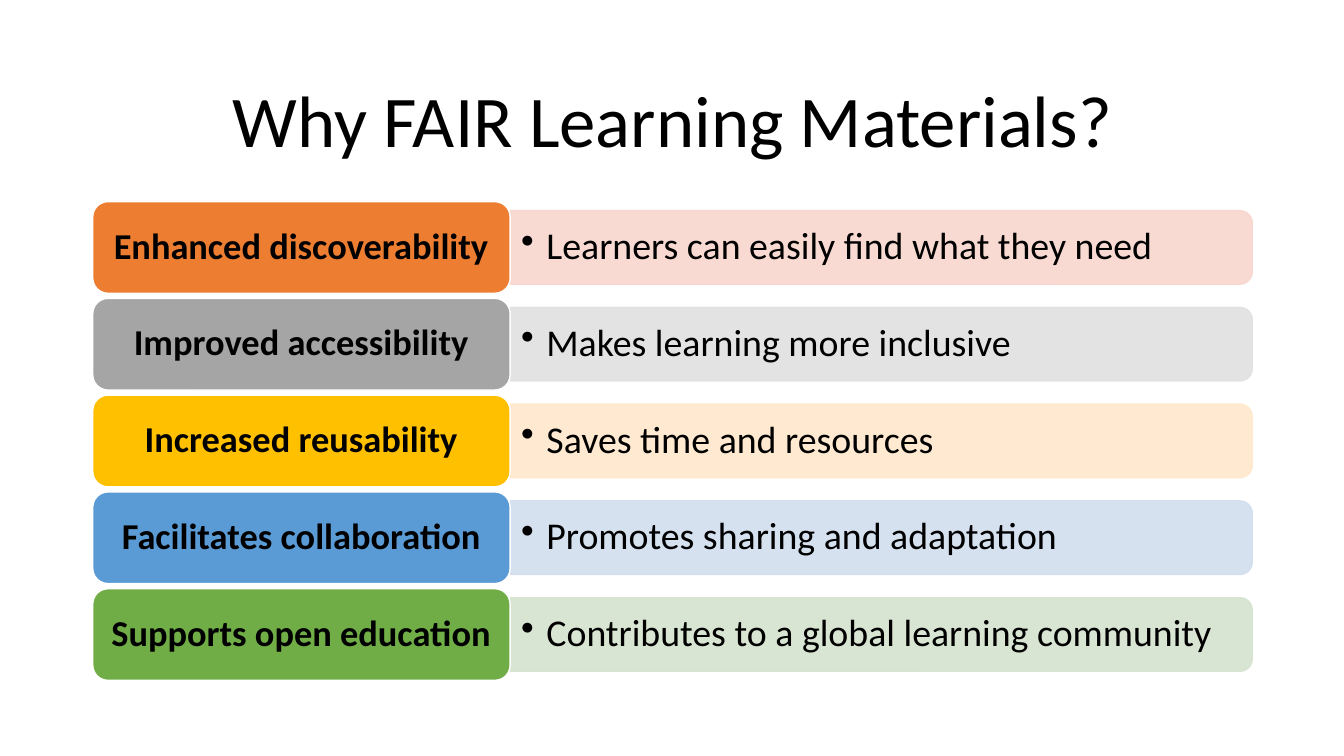
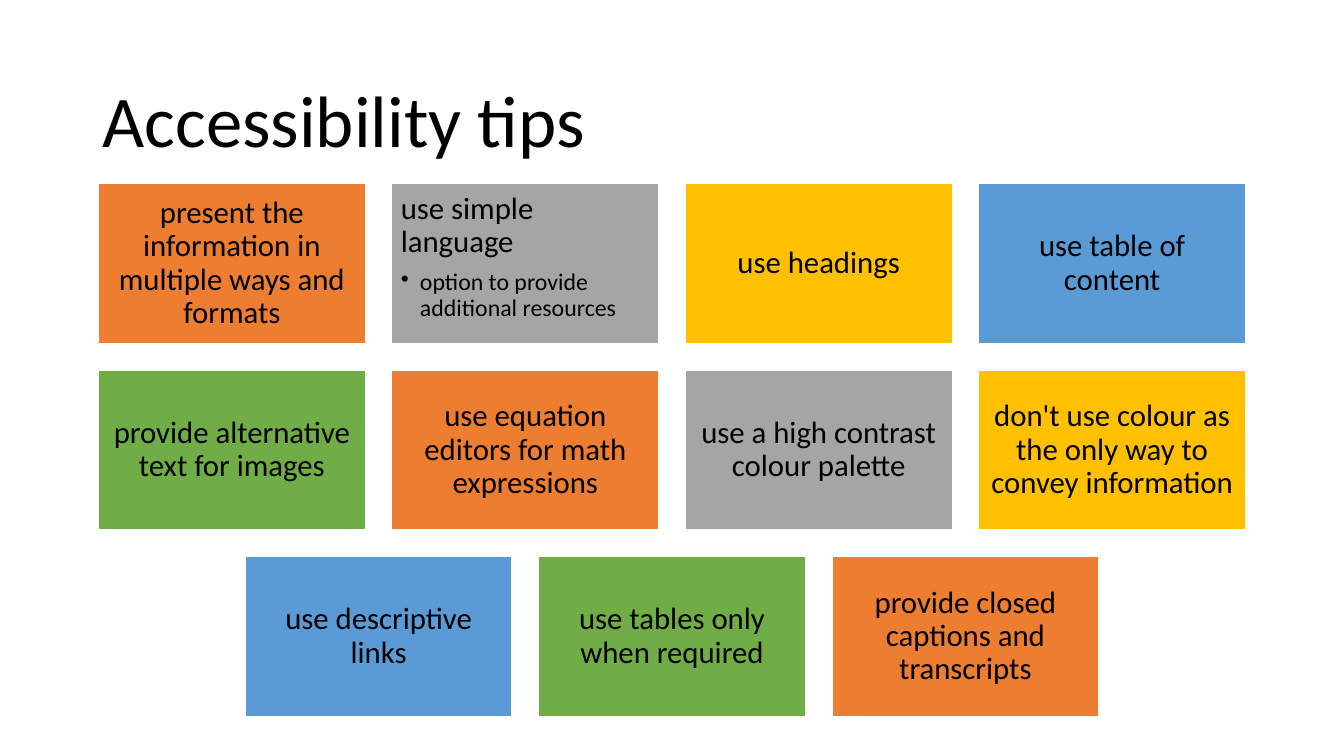
from itertools import cycle

from lxml.etree import SubElement
from pptx import Presentation
from pptx.dml.color import RGBColor
from pptx.enum.shapes import MSO_SHAPE as Shape
from pptx.enum.text import MSO_ANCHOR as Anchor, PP_ALIGN as Align
from pptx.oxml.ns import qn
from pptx.util import Inches, Pt

FONT = "Calibri"
ACCENTS = ["ED7D31", "A5A5A5", "FFC000", "5B9BD5", "70AD47"]
TINTS = ["F8D7CE", "E1E1E1", "FFE8CC", "D2DEEF", "D5E3CF"]


def add_panel(slide, outline, left, top, width, height, fill=None, line="FFFFFF", margins=(0.1, 0.05)):
    """Add a filled shape, or a plain text box when there is no fill."""
    place = [Inches(length) for length in (left, top, width, height)]
    if fill:
        panel = slide.shapes.add_shape(outline, *place)
        panel.shadow.inherit = False
        panel.fill.solid()
        panel.fill.fore_color.rgb = RGBColor.from_string(fill)
        panel.line.color.rgb = RGBColor.from_string(line)
        panel.line.width = Pt(1)
    else:
        panel = slide.shapes.add_textbox(*place)
    frame = panel.text_frame
    frame.word_wrap = True
    frame.vertical_anchor = Anchor.MIDDLE
    frame.margin_left = frame.margin_right = Inches(margins[0])
    frame.margin_top = frame.margin_bottom = Inches(margins[1])
    return panel


def write(paragraph, text, size, align=Align.CENTER, bold=False, bullet_indent=None):
    paragraph.text = text
    if bullet_indent:
        properties = paragraph._p.get_or_add_pPr()
        properties.set("marL", str(Inches(bullet_indent)))
        properties.set("indent", str(-Inches(bullet_indent)))
        SubElement(properties, qn("a:buChar"), char="•")
    paragraph.alignment = align
    paragraph.line_spacing = 0.9
    font = paragraph.font
    font.name, font.size, font.bold = FONT, Pt(size), bold
    font.color.rgb = RGBColor.from_string("000000")


deck = Presentation()
deck.slide_width, deck.slide_height = Inches(13.33), Inches(7.5)

slides = []
for title, align in [("Why FAIR Learning Materials?", Align.CENTER), ("Accessibility tips", Align.LEFT)]:
    slide = deck.slides.add_slide(deck.slide_layouts[6])
    heading = add_panel(slide, None, 0.92, 0.61, 11.5, 1.24)
    write(heading.text_frame.paragraphs[0], title, 52, align)
    slides.append(slide)
reasons_slide, tips_slide = slides

# Reasons: a label on the left and a band with its benefit on the right
reasons = [
    ("Enhanced discoverability", "Learners can easily find what they need"),
    ("Improved accessibility", "Makes learning more inclusive"),
    ("Increased reusability", "Saves time and resources"),
    ("Facilitates collaboration", "Promotes sharing and adaptation"),
    ("Supports open education", "Contributes to a global learning community"),
]
LABEL_LEFT, LABEL_WIDTH, LABEL_HEIGHT = 0.92, 4.14, 0.91
BAND_LEFT, BAND_LENGTH, BAND_HEIGHT = LABEL_LEFT + LABEL_WIDTH, 7.36, 0.73
for row, ((reason, benefit), accent, tint) in enumerate(zip(reasons, ACCENTS, TINTS)):
    top = 2 + row * 0.96
    middle = top + LABEL_HEIGHT / 2
    # The band stands upright before its quarter turn, so the rounded end faces right
    band = add_panel(reasons_slide, Shape.ROUND_2_SAME_RECTANGLE,
                     BAND_LEFT + (BAND_LENGTH - BAND_HEIGHT) / 2, middle - BAND_LENGTH / 2,
                     BAND_HEIGHT, BAND_LENGTH, tint, tint)
    band.rotation = 90
    for colour in band.element.iter(qn("a:srgbClr")):
        SubElement(colour, qn("a:alpha"), val="90000")
    benefit_text = add_panel(reasons_slide, None, BAND_LEFT, middle - 0.33, 7.32, 0.66, margins=(0.11, 0.06))
    write(benefit_text.text_frame.paragraphs[0], benefit, 27, Align.LEFT, bullet_indent=0.25)
    label = add_panel(reasons_slide, Shape.ROUNDED_RECTANGLE, LABEL_LEFT, top,
                      LABEL_WIDTH, LABEL_HEIGHT, accent, margins=(0.11, 0.05))
    write(label.text_frame.paragraphs[0], reason, 26, bold=True)

# Tips: rows of up to four tiles, each row centred
tip_rows = [
    [
        ("present the information in multiple ways and formats",),
        ("use simple language", "option to provide additional resources"),
        ("use headings",),
        ("use table of content",),
    ],
    [
        ("provide alternative text for images",),
        ("use equation editors for math expressions",),
        ("use a high contrast colour palette",),
        ("don't use colour as the only way to convey information",),
    ],
    [
        ("use descriptive links",),
        ("use tables only when required",),
        ("provide closed captions and transcripts",),
    ],
]
TILE_WIDTH, TILE_HEIGHT, GAP = 2.65, 1.59, 0.26
accents = cycle(ACCENTS)
for row, row_tips in enumerate(tip_rows):
    row_width = len(row_tips) * (TILE_WIDTH + GAP) - GAP
    for column, (tip, *details) in enumerate(row_tips):
        tile = add_panel(tips_slide, Shape.RECTANGLE,
                         (13.33 - row_width) / 2 + column * (TILE_WIDTH + GAP),
                         1.82 + row * (TILE_HEIGHT + GAP),
                         TILE_WIDTH, TILE_HEIGHT, next(accents), margins=(0.09, 0.09))
        frame = tile.text_frame
        write(frame.paragraphs[0], tip, 22, Align.LEFT if details else Align.CENTER)
        if details:
            frame.vertical_anchor = Anchor.TOP
        for detail in details:
            paragraph = frame.add_paragraph()
            write(paragraph, detail, 17, Align.LEFT, bullet_indent=0.19)
            paragraph.space_before = Pt(8)

deck.save("out.pptx")
